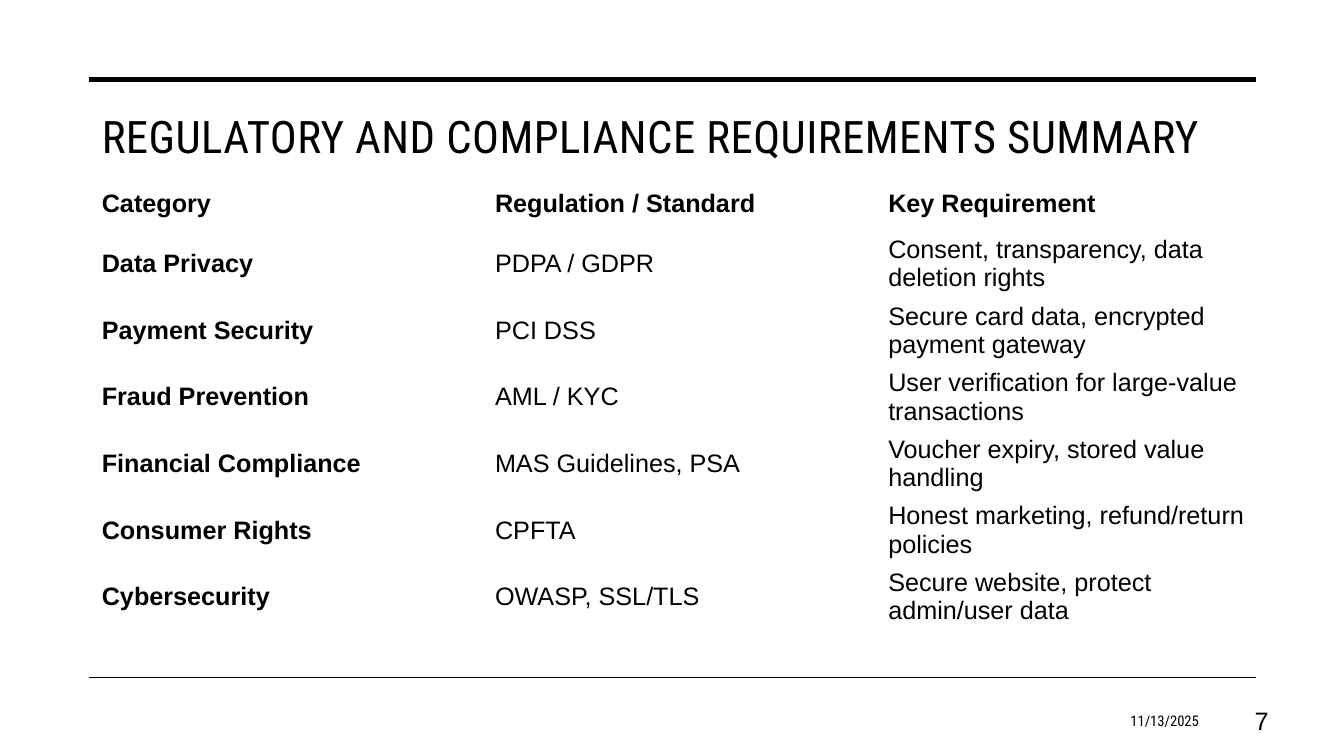
from dataclasses import dataclass

from lxml.etree import SubElement
from pptx import Presentation
from pptx.dml.color import RGBColor
from pptx.enum.shapes import MSO_CONNECTOR
from pptx.enum.text import MSO_ANCHOR, MSO_AUTO_SIZE, PP_ALIGN
from pptx.oxml.ns import qn
from pptx.util import Inches, Pt


@dataclass(frozen=True)
class Theme:
    ink: RGBColor = RGBColor(0, 0, 0)
    paper: RGBColor = RGBColor(255, 255, 255)
    head: str = "Roboto Condensed"
    body: str = "Arial"
    title: float = 32
    text: float = 18
    small: float = 10.5


theme = Theme()


def write(frame, text, font, size, bold=False, align=PP_ALIGN.LEFT):
    para = frame.paragraphs[0]
    para.alignment = align
    run = para.add_run()
    run.text = text
    run.font.name = font
    run.font.size = Pt(size)
    run.font.bold = bold
    run.font.color.rgb = theme.ink
    return run


deck = Presentation()
deck.slide_width = Inches(13.33)
deck.slide_height = Inches(7.5)
slide = deck.slides.add_slide(deck.slide_layouts[5])
slide.background.fill.solid()
slide.background.fill.fore_color.rgb = theme.paper

for top, weight in [(0.79, 3.5), (6.72, 1)]:
    rule = slide.shapes.add_connector(
        MSO_CONNECTOR.STRAIGHT, Inches(0.88), Inches(top), Inches(12.46), Inches(top)
    )
    rule.line.color.rgb = theme.ink
    rule.line.width = Pt(weight)
    SubElement(rule._element.spPr, qn("a:effectLst"))

title = slide.shapes.title
title.left, title.top = Inches(0.91), Inches(1.01)
title.width, title.height = Inches(11.69), Inches(0.68)
title.text_frame.auto_size = MSO_AUTO_SIZE.NONE
title.text_frame.vertical_anchor = MSO_ANCHOR.MIDDLE
run = write(
    title.text_frame,
    "REGULATORY AND COMPLIANCE REQUIREMENTS SUMMARY",
    theme.head,
    theme.title,
)
run.font._element.set("spc", "30")

rows = [
    ("Category", "Regulation / Standard", "Key Requirement"),
    ("Data Privacy", "PDPA / GDPR", "Consent, transparency, data deletion rights"),
    ("Payment Security", "PCI DSS", "Secure card data, encrypted payment gateway"),
    ("Fraud Prevention", "AML / KYC", "User verification for large-value transactions"),
    ("Financial Compliance", "MAS Guidelines, PSA", "Voucher expiry, stored value handling"),
    ("Consumer Rights", "CPFTA", "Honest marketing, refund/return policies"),
    ("Cybersecurity", "OWASP, SSL/TLS", "Secure website, protect admin/user data"),
]
table = slide.shapes.add_table(
    len(rows), 3, Inches(0.91), Inches(1.75), Inches(11.69), Inches(4.26)
).table
table.horz_banding = False
table.first_row = False
for col in table.columns:
    col.width = Inches(3.9)
for r, row in enumerate(rows):
    table.rows[r].height = Inches(0.62 if r else 0.54)
    for c, text in enumerate(row):
        cell = table.cell(r, c)
        cell.fill.background()
        cell.vertical_anchor = MSO_ANCHOR.MIDDLE
        write(cell.text_frame, text, theme.body, theme.text, bold=r == 0 or c == 0)

for left, width, text, font, size in [
    (9.15, 2.84, "11/13/2025", theme.head, theme.small),
    (11.94, 0.74, "7", theme.body, theme.text),
]:
    box = slide.shapes.add_textbox(Inches(left), Inches(6.95), Inches(width), Inches(0.4))
    box.text_frame.word_wrap = True
    box.text_frame.vertical_anchor = MSO_ANCHOR.MIDDLE
    write(box.text_frame, text, font, size, align=PP_ALIGN.RIGHT)

deck.save("out.pptx")
